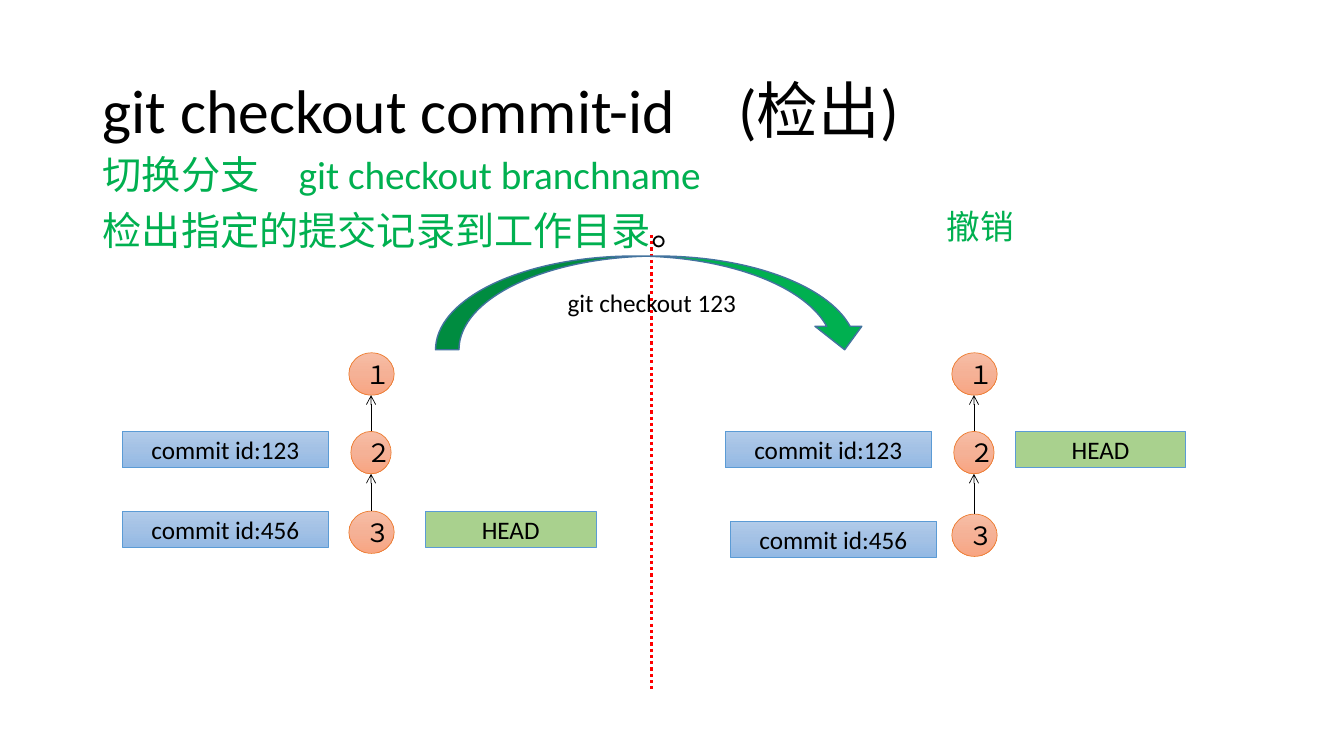
from copy import deepcopy

from pptx import Presentation
from pptx.dml.color import RGBColor
from pptx.enum.dml import MSO_LINE
from pptx.enum.shapes import MSO_CONNECTOR, MSO_SHAPE
from pptx.enum.text import MSO_ANCHOR, MSO_AUTO_SIZE, PP_ALIGN
from pptx.oxml.ns import qn
from pptx.oxml.xmlchemy import OxmlElement
from pptx.util import Pt

EMU_PER_PX = 9144
FONT = "Calibri"
BLACK = RGBColor(0x00, 0x00, 0x00)
GREEN = RGBColor(0x00, 0xB0, 0x50)
RED = RGBColor(0xFF, 0x00, 0x00)
ORANGE = RGBColor(0xED, 0x7D, 0x31)
BLUE = RGBColor(0x5B, 0x9B, 0xD5)
DARK_BLUE = RGBColor(0x43, 0x73, 0x9E)
LIGHT_GREEN = RGBColor(0xA9, 0xD1, 0x8E)
NODE_FILL = (RGBColor(0xF7, 0xBD, 0xA5), RGBColor(0xF5, 0xB1, 0x96), RGBColor(0xF8, 0xA5, 0x82))
LABEL_FILL = (RGBColor(0xB1, 0xCB, 0xE9), RGBColor(0xA3, 0xC1, 0xE5), RGBColor(0x93, 0xB9, 0xE4))


def px(*lengths):
    return [length * EMU_PER_PX for length in lengths]


def write(para, text, size=18, color=BLACK, align=PP_ALIGN.LEFT, spacing=None, before=0):
    para.alignment = align
    para.line_spacing = spacing
    para.space_before = Pt(before)
    span = para.add_run()
    span.text = text
    span.font.name = FONT
    span.font.size = Pt(size)
    span.font.color.rgb = color


class CheckoutSlide:
    """Draws the elements of the checkout slide in one shared style."""

    def __init__(self, deck):
        self.page = deck.slides.add_slide(deck.slide_layouts[1])
        self.shapes = self.page.shapes

    def place(self, holder, area, anchor):
        holder.left, holder.top, holder.width, holder.height = px(*area)
        frame = holder.text_frame
        frame.auto_size = MSO_AUTO_SIZE.NONE
        frame.vertical_anchor = anchor
        return frame

    def title(self, text, area):
        frame = self.place(self.shapes.title, area, MSO_ANCHOR.MIDDLE)
        write(frame.paragraphs[0], text, size=44, spacing=0.9)

    def body(self, lines, area):
        frame = self.place(self.page.placeholders[1], area, MSO_ANCHOR.TOP)
        for index, spans in enumerate(lines):
            para = frame.add_paragraph() if index else frame.paragraphs[0]
            for text, color in spans:
                write(para, text, size=28, color=color, spacing=0.9, before=10)
            properties = para._p.get_or_add_pPr()
            properties.set("marL", "0")
            properties.set("indent", "0")
            properties.append(OxmlElement("a:buNone"))

    def note(self, text, area):
        box = self.shapes.add_textbox(*px(*area))
        box.text_frame.word_wrap = True
        write(box.text_frame.paragraphs[0], text, size=24, color=GREEN)

    def shape(self, kind, text, area, fill, outline, weight=0.5):
        box = self.shapes.add_shape(kind, *px(*area))
        box.shadow.inherit = False
        if isinstance(fill, RGBColor):
            box.fill.solid()
            box.fill.fore_color.rgb = fill
        else:
            self.blend(box, fill)
        box.line.color.rgb = outline
        box.line.width = Pt(weight)
        box.text_frame.vertical_anchor = MSO_ANCHOR.MIDDLE
        write(box.text_frame.paragraphs[0], text, align=PP_ALIGN.CENTER)

    def blend(self, box, colors):
        box.fill.gradient()
        box.fill.gradient_angle = 270
        stops = box.element.spPr.find(".//" + qn("a:gsLst"))
        stops.insert(1, deepcopy(stops[0]))
        for index, (stop, color) in enumerate(zip(box.fill.gradient_stops, colors)):
            stop.position = index / 2
            stop.color.rgb = color

    def line(self, start, end, color=BLACK, weight=0.5, dash=None, arrow=False):
        link = self.shapes.add_connector(MSO_CONNECTOR.STRAIGHT, *px(*start, *end))
        link.line.color.rgb = color
        link.line.width = Pt(weight)
        if dash:
            link.line.dash_style = dash
        if arrow:
            tip = OxmlElement("a:tailEnd")
            tip.set("type", "arrow")
            link.element.spPr.find(qn("a:ln")).append(tip)
        link.element.spPr.append(OxmlElement("a:effectLst"))

    def label(self, text, left, top):
        self.shape(MSO_SHAPE.RECTANGLE, text, (left, top, 205, 36), LABEL_FILL, BLUE)

    def head(self, left, top):
        self.shape(MSO_SHAPE.RECTANGLE, "HEAD", (left, top, 169, 36), LIGHT_GREEN, BLUE)

    def history(self, left, last_top, last_label):
        nodes = (("１", 225, 350, 45), ("２", 227, 428, 40), ("３", 225, last_top, 45))
        for text, shift, top, width in nodes:
            area = (left + shift, top, width, 42)
            self.shape(MSO_SHAPE.OVAL, text, area, NODE_FILL, ORANGE)
        for upper, lower in zip(nodes, nodes[1:]):
            start = (left + lower[1] + lower[3] // 2, lower[2])
            end = (left + upper[1] + upper[3] // 2, upper[2] + 42)
            self.line(start, end, arrow=True)
        self.label("commit id:123", left, 428)
        self.label("commit id:456", *last_label)


def main():
    deck = Presentation()
    deck.slide_width, deck.slide_height = px(1333, 750)
    slide = CheckoutSlide(deck)
    slide.title("git checkout commit-id　(检出)", (92, 40, 1150, 145))
    slide.body(
        [
            [("切换分支　git checkout branchname", GREEN)],
            [("检出指定的提交记录到工作目录", GREEN), ("。", BLACK)],
        ],
        (92, 149, 1052, 140),
    )
    slide.line((646, 233), (646, 685), color=RED, weight=2.25, dash=MSO_LINE.ROUND_DOT)
    slide.history(121, 507, (121, 507))
    slide.history(719, 510, (724, 517))
    slide.shape(
        MSO_SHAPE.CURVED_DOWN_ARROW, "git checkout 123", (432, 254, 429, 93), GREEN, DARK_BLUE, weight=1
    )
    slide.head(422, 507)
    slide.head(1007, 428)
    slide.note("撤销", (929, 199, 350, 50))
    deck.save("out.pptx")


if __name__ == "__main__":
    main()
